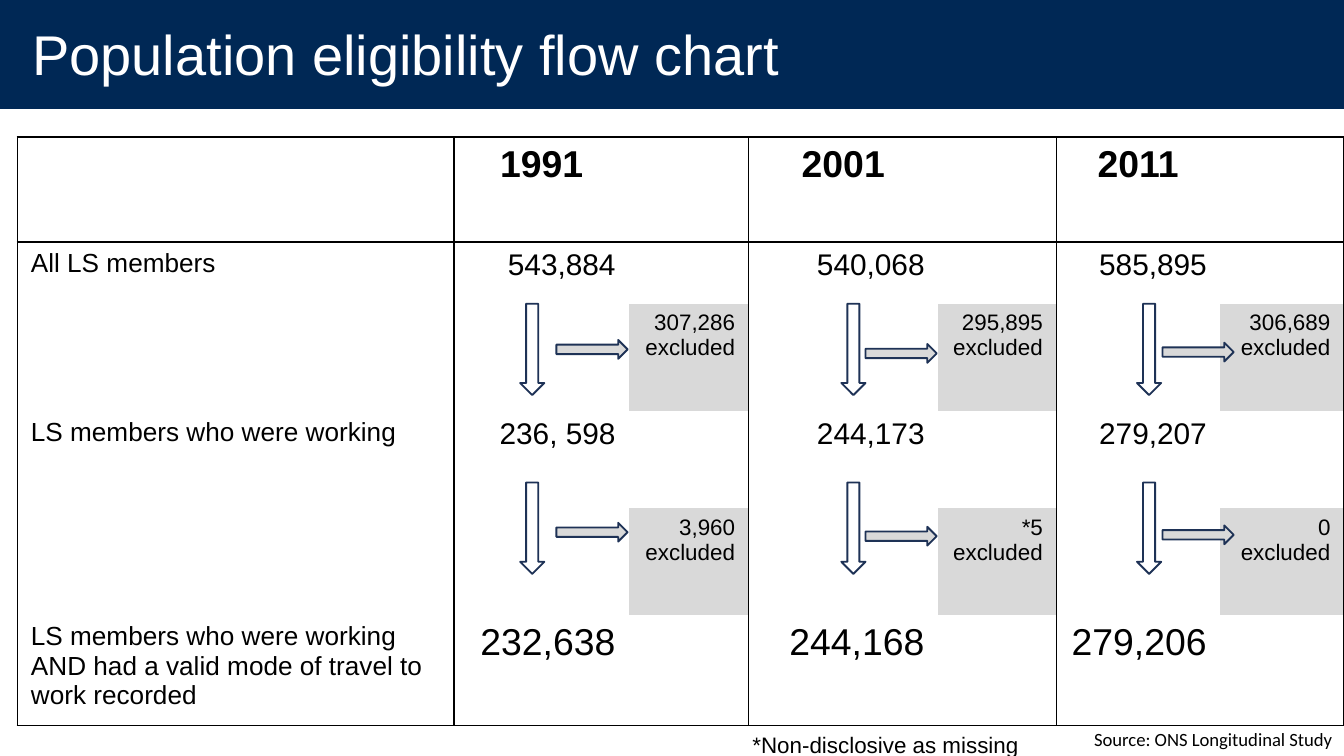
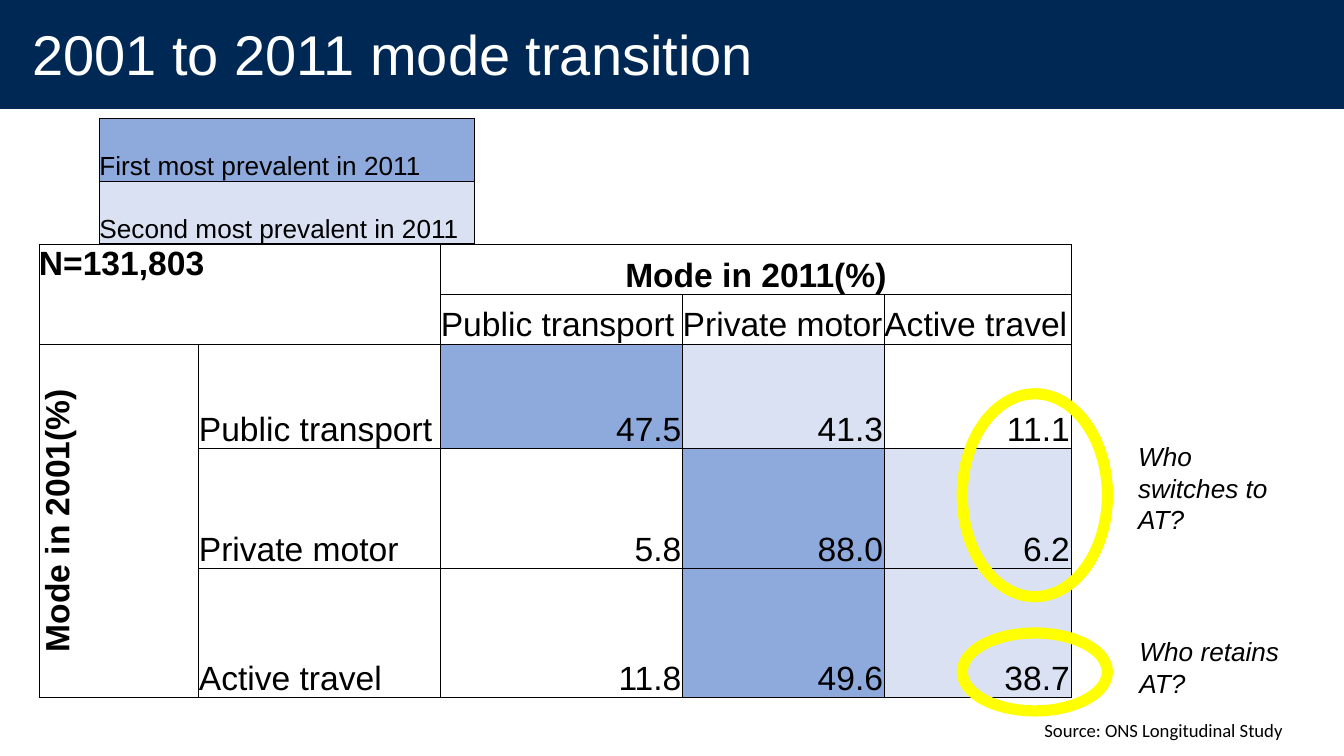
from dataclasses import dataclass

from lxml.etree import SubElement
from pptx import Presentation
from pptx.dml.color import RGBColor
from pptx.enum.shapes import MSO_SHAPE
from pptx.enum.text import MSO_ANCHOR, MSO_AUTO_SIZE, PP_ALIGN
from pptx.oxml.ns import qn
from pptx.util import Pt

PX = 9144  # EMU per px, 100 px to the inch
SLIDE_W = 1000

NAVY, WHITE, BLACK = "002855", "FFFFFF", "000000"
ARROW_LINE, GREY, YELLOW = "1E3256", "D9D9D9", "FFFF00"
FIRST_BLUE, SECOND_BLUE = "8EA9DB", "D9E1F2"

LEFT, CENTER, RIGHT = PP_ALIGN.LEFT, PP_ALIGN.CENTER, PP_ALIGN.RIGHT
TOP, MIDDLE, BOTTOM = MSO_ANCHOR.TOP, MSO_ANCHOR.MIDDLE, MSO_ANCHOR.BOTTOM
SOURCE = "Source: ONS Longitudinal Study"


@dataclass(frozen=True)
class Box:
    x: int
    y: int
    w: int
    h: int

    def emu(self) -> tuple:
        return tuple(v * PX for v in (self.x, self.y, self.w, self.h))


@dataclass(frozen=True)
class Style:
    size: int
    align: PP_ALIGN = LEFT
    bold: bool = False
    italic: bool = False
    color: str = BLACK
    font: str = "Arial"
    spacing: float = 1.0


@dataclass(frozen=True)
class Year:
    name: str
    members: str
    not_working: str
    working: str
    no_mode: str
    eligible: str
    down_x: int
    right_x: int
    right_y: int


YEARS = [
    Year("1991", "543,884", "307,286", "236, 598", "3,960", "232,638", 387, 414, 253),
    Year("2001", "540,068", "295,895", "244,173", "*5", "244,168", 626, 644, 256),
    Year("2011", "585,895", "306,689", "279,207", "0", "279,206", 846, 865, 255),
]
STAGES = {
    1: "All LS members",
    3: "LS members who were working",
    5: "LS members who were working AND had a valid mode of travel to work recorded",
}
MODES = ["Public transport", "Private motor", "Active travel"]
SHARES = [[47.5, 41.3, 11.1], [5.8, 88.0, 6.2], [11.8, 49.6, 38.7]]


def rgb(color: str) -> RGBColor:
    return RGBColor.from_string(color)


# Text
def write(tf, text: str, style: Style) -> None:
    p = tf.paragraphs[0]
    p.text = text
    p.alignment = style.align
    p.line_spacing = style.spacing
    p.space_before = Pt(0)
    p.font.name = style.font
    p.font.size = Pt(style.size)
    p.font.bold = style.bold
    p.font.italic = style.italic
    p.font.color.rgb = rgb(style.color)


def add_text(s, box: Box, text: str, style: Style) -> None:
    tf = s.shapes.add_textbox(*box.emu()).text_frame
    tf.word_wrap = True
    tf.auto_size = MSO_AUTO_SIZE.SHAPE_TO_FIT_TEXT
    write(tf, text, style)


# Shapes
def add_shape(s, kind: MSO_SHAPE, box: Box, fill: str = "", line: str = "",
              width: float = 1):
    sp = s.shapes.add_shape(kind, *box.emu())
    sp.shadow.inherit = False
    if fill:
        sp.fill.solid()
        sp.fill.fore_color.rgb = rgb(fill)
    else:
        sp.fill.background()
    if line:
        sp.line.color.rgb = rgb(line)
        sp.line.width = Pt(width)
    else:
        sp.line.fill.background()
    return sp


# Tables
def add_table(s, box: Box, cols: list, rows: list):
    table = s.shapes.add_table(len(rows), len(cols), *box.emu()).table
    table.first_row = table.horz_banding = False
    for col, w in zip(table.columns, cols):
        col.width = w * PX
    for row, h in zip(table.rows, rows):
        row.height = h * PX
    return table


def set_borders(cell, sides: str, width: float) -> None:
    tc_pr = cell._tc.get_or_add_tcPr()
    for i, side in enumerate("LRTB"):
        ln = SubElement(tc_pr, qn(f"a:ln{side}"))
        tc_pr.insert(i, ln)
        if side in sides:
            ln.set("w", str(Pt(width)))
            fill = SubElement(ln, qn("a:solidFill"))
            SubElement(fill, qn("a:srgbClr")).set("val", BLACK)
        else:
            SubElement(ln, qn("a:noFill"))


def fill_cell(cell, text: str, style: Style, fill: str = "", anchor: MSO_ANCHOR = TOP,
              sides: str = "LRTB", width: float = 0.5, tight: bool = True) -> None:
    write(cell.text_frame, text, style)
    cell.vertical_anchor = anchor
    if tight:
        inset = PX if style.align == RIGHT else 0
        cell.margin_left = cell.margin_right = cell.margin_top = inset
        cell.margin_bottom = 0
    if fill:
        cell.fill.solid()
        cell.fill.fore_color.rgb = rgb(fill)
    else:
        cell.fill.background()
    set_borders(cell, sides, width)


# Navy band, title and source line of every slide
def add_slide(prs, title: str, title_w: int, source: Box):
    s = prs.slides.add_slide(prs.slide_layouts[5])
    band = add_shape(s, MSO_SHAPE.RECTANGLE, Box(0, 0, SLIDE_W, 81), NAVY)
    s.shapes._spTree.insert(2, band._element)
    sp = s.shapes.title
    sp.left, sp.top, sp.width, sp.height = Box(24, 24, title_w, 46).emu()
    tf = sp.text_frame
    tf.auto_size = MSO_AUTO_SIZE.NONE
    tf.vertical_anchor = TOP
    tf.margin_left = tf.margin_right = tf.margin_top = tf.margin_bottom = 0
    write(tf, title, Style(30, color=WHITE, spacing=0.8))
    add_text(s, source, SOURCE, Style(10, RIGHT, font="Calibri"))
    return s


def flow_sides(row: int, col: int) -> str:
    """Each year is a pair of columns framed as one."""
    sides = "LR" if col == 0 else "L" if col % 2 else "R"
    if row < 2:
        sides += "T"
    if row in (0, 5):
        sides += "B"
    return sides


def build_flow_chart(prs) -> None:
    s = add_slide(prs, "Population eligibility flow chart", 726, Box(731, 537, 270, 27))

    # Text of the cells by row and column
    texts = {(row, 0): (label, Style(14)) for row, label in STAGES.items()}
    for i, year in enumerate(YEARS):
        col = 2 * i + 1
        texts[0, col] = year.name, Style(20, CENTER, bold=True)
        texts[1, col] = year.members, Style(16, RIGHT)
        texts[3, col] = year.working, Style(16, RIGHT)
        texts[5, col] = year.eligible, Style(20, RIGHT)
        for row, count in ((2, year.not_working), (4, year.no_mode)):
            texts[row, col + 1] = f"{count} excluded", Style(12, RIGHT)

    cols, rows = [325, 130, 89, 141, 88, 122, 92], [78, 46, 80, 72, 80, 82]
    table = add_table(s, Box(13, 102, 987, 437), cols, rows)
    for row in range(len(rows)):
        for col in range(len(cols)):
            text, style = texts.get((row, col), ("", Style(16)))
            excluded = row in (2, 4) and col in (2, 4, 6)
            fill_cell(table.cell(row, col), text, style, GREY if excluded else "",
                      sides=flow_sides(row, col), width=1, tight=False)

    # Arrows down to the next stage and out to the excluded
    for year in YEARS:
        for step_down, step_right in ((0, 0), (133, 136)):
            add_shape(s, MSO_SHAPE.DOWN_ARROW,
                      Box(year.down_x, 226 + step_down, 18, 68), line=ARROW_LINE)
            add_shape(s, MSO_SHAPE.RIGHT_ARROW,
                      Box(year.right_x, year.right_y + step_right, 53, 14),
                      GREY, ARROW_LINE)

    add_text(s, Box(550, 539, 240, 30), "*Non-disclosive as missing", Style(12))


def build_transition(prs) -> None:
    s = add_slide(prs, "2001 to 2011 mode transition", 783, Box(694, 530, 270, 27))

    # Legend
    legend = add_table(s, Box(74, 88, 279, 74), [279], [37, 37])
    for i, (rank, fill) in enumerate((("First", FIRST_BLUE), ("Second", SECOND_BLUE))):
        fill_cell(legend.cell(i, 0), f"{rank} most prevalent in 2011",
                  Style(14, spacing=2.0), fill, BOTTOM)

    # Transition matrix
    plain, number = Style(18), Style(18, RIGHT)
    bold, heading = Style(18, bold=True), Style(18, CENTER, bold=True)
    cells = {
        (0, 0): ("N=131,803", bold, "", TOP),
        (0, 2): ("Mode in 2011(%)", heading, "", BOTTOM),
        (2, 0): ("Mode in 2001(%)", heading, "", MIDDLE),
    }
    for i, (mode, shares) in enumerate(zip(MODES, SHARES), start=2):
        cells[1, i] = cells[i, 1] = mode, plain, "", BOTTOM
        first, second, _ = sorted(shares, reverse=True)
        fills = {first: FIRST_BLUE, second: SECOND_BLUE}
        for j, share in enumerate(shares, start=2):
            cells[i, j] = f"{share:.1f}", number, fills.get(share, ""), BOTTOM

    cols, rows = [119, 180, 180, 150, 139], [37, 37, 78, 89, 96]
    table = add_table(s, Box(29, 182, 769, 338), cols, rows)
    for row in range(len(rows)):
        for col in range(len(cols)):
            fill_cell(table.cell(row, col), *cells.get((row, col), ("", plain)))
    for start, end in (((0, 0), (1, 1)), ((0, 2), (0, 4)), ((2, 0), (4, 0))):
        table.cell(*start).merge(table.cell(*end))
    table.cell(2, 0)._tc.get_or_add_tcPr().set("vert", "vert270")

    # Rings around active travel, each with its question
    question = Style(14, italic=True)
    for ring, box, text in (
        (Box(716, 293, 108, 151), Box(837, 323, 134, 81), "Who switches to AT?"),
        (Box(716, 471, 108, 58), Box(838, 468, 162, 57), "Who retains AT?"),
    ):
        add_shape(s, MSO_SHAPE.OVAL, ring, line=YELLOW, width=6)
        add_text(s, box, text, question)


def main() -> None:
    prs = Presentation()
    prs.slide_width = SLIDE_W * PX
    prs.slide_height = prs.slide_width * 9 // 16
    build_flow_chart(prs)
    build_transition(prs)
    prs.save("out.pptx")


if __name__ == "__main__":
    main()
